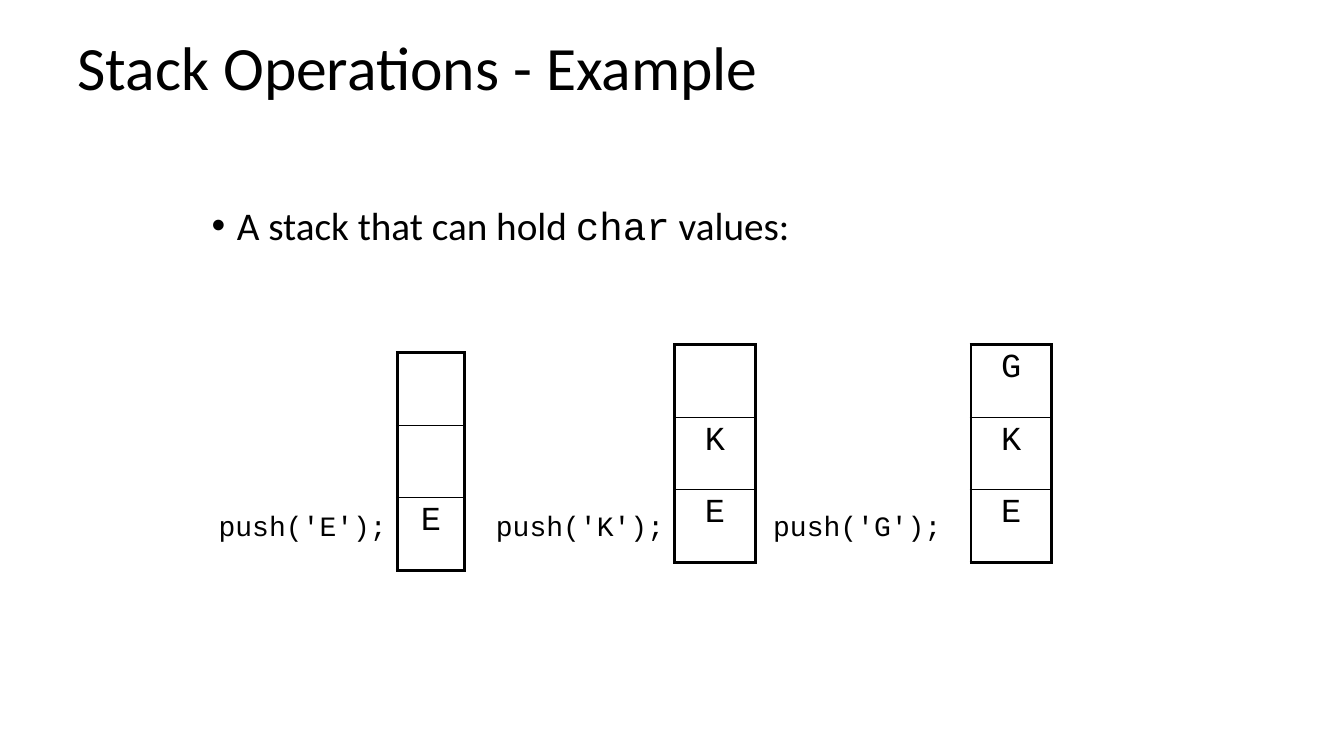
"""Build the slide that shows three pushes onto a stack of char values."""
from dataclasses import dataclass

from lxml.etree import SubElement
from pptx import Presentation
from pptx.dml.color import RGBColor
from pptx.enum.text import MSO_ANCHOR as Anchor, MSO_AUTO_SIZE as AutoSize, PP_ALIGN as Align
from pptx.oxml import parse_xml
from pptx.oxml.ns import nsdecls, qn
from pptx.slide import Slide
from pptx.table import _Cell as Cell
from pptx.text.text import TextFrame, _Paragraph as Paragraph
from pptx.util import Emu, Pt

PX_PER_INCH = 100


def px(n: int) -> Emu:
    return Emu(n * 914400 // PX_PER_INCH)


@dataclass(frozen=True)
class Theme:
    ink: str = "000000"
    paper: str = "FFFFFF"
    sans: str = "Calibri"
    mono: str = "Courier New"
    title: int = 44
    body: int = 28
    cell: int = 24
    code: int = 20
    outer_line: float = 2.25
    inner_line: float = 1


@dataclass(frozen=True)
class Push:
    call: str
    call_x: int
    x: int
    y: int
    w: int
    slots: tuple[str, ...]


THEME = Theme()
ROW_H = 72
CALL_Y, CALL_W, CALL_H = 500, 187, 43
PUSHES = (
    Push("push('E');", 207, 394, 350, 67, ("", "", "E")),
    Push("push('K');", 482, 669, 342, 80, ("", "K", "E")),
    Push("push('G');", 757, 963, 342, 80, ("G", "K", "E")),
)


def add_run(p: Paragraph, text: str, size: int, font: str) -> None:
    r = p.add_run()
    r.text = text
    r.font.size = Pt(size)
    r.font.name = font
    r.font.color.rgb = RGBColor.from_string(THEME.ink)


def add_box(s: Slide, x: int, y: int, w: int, h: int, wrap: bool) -> TextFrame:
    tf = s.shapes.add_textbox(px(x), px(y), px(w), px(h)).text_frame
    tf.word_wrap = wrap
    return tf


def add_title(s: Slide, text: str) -> None:
    sp = s.shapes.title
    sp.left, sp.top, sp.width, sp.height = px(67), px(8), px(1111), px(125)
    tf = sp.text_frame
    tf.auto_size = AutoSize.NONE
    tf.vertical_anchor = Anchor.MIDDLE
    p = tf.paragraphs[0]
    p.alignment = Align.LEFT
    p.line_spacing = 0.9
    add_run(p, text, THEME.title, THEME.sans)


def add_bullet(s: Slide, runs: tuple[tuple[str, str], ...]) -> None:
    p = add_box(s, 200, 200, 898, 500, True).paragraphs[0]
    p.line_spacing = 0.9
    p.space_before = Pt(10)
    pPr = p._p.get_or_add_pPr()
    pPr.set("marL", str(px(25)))
    pPr.set("indent", str(px(-25)))
    SubElement(pPr, qn("a:buFont"), typeface="Arial")
    SubElement(pPr, qn("a:buChar"), char="•")
    for text, font in runs:
        add_run(p, text, THEME.body, font)


def set_borders(cell: Cell, top: float, bottom: float) -> None:
    sides = {"L": THEME.outer_line, "R": THEME.outer_line, "T": top, "B": bottom}
    tcPr = cell._tc.get_or_add_tcPr()
    for i, (side, width) in enumerate(sides.items()):
        tcPr.insert(i, parse_xml(
            f'<a:ln{side} {nsdecls("a")} w="{Pt(width)}"><a:solidFill>'
            f'<a:srgbClr val="{THEME.ink}"/></a:solidFill></a:ln{side}>'))


def add_stack(s: Slide, push: Push) -> None:
    last = len(push.slots) - 1
    frame = s.shapes.add_table(len(push.slots), 1, px(push.x), px(push.y),
                               px(push.w), px(ROW_H * len(push.slots)))
    table = frame.table
    table.first_row = table.horz_banding = False
    for i, value in enumerate(push.slots):
        table.rows[i].height = px(ROW_H)
        cell = table.cell(i, 0)
        cell.fill.solid()
        cell.fill.fore_color.rgb = RGBColor.from_string(THEME.paper)
        set_borders(cell, THEME.inner_line if i else THEME.outer_line,
                    THEME.outer_line if i == last else THEME.inner_line)
        if value:
            p = cell.text_frame.paragraphs[0]
            p.alignment = Align.CENTER
            add_run(p, value, THEME.cell, THEME.mono)


def add_call(s: Slide, push: Push) -> None:
    tf = add_box(s, push.call_x, CALL_Y, CALL_W, CALL_H, False)
    tf.auto_size = AutoSize.SHAPE_TO_FIT_TEXT
    add_run(tf.paragraphs[0], push.call, THEME.code, THEME.mono)


def main() -> None:
    prs = Presentation()
    prs.slide_width, prs.slide_height = px(1333), px(750)
    s = prs.slides.add_slide(prs.slide_layouts[5])
    add_title(s, "Stack Operations - Example")
    add_bullet(s, (("A stack that can hold ", THEME.sans),
                   ("char", THEME.mono), (" values:", THEME.sans)))
    for push in PUSHES:
        add_stack(s, push)
        add_call(s, push)
    prs.save("out.pptx")


if __name__ == "__main__":
    main()
